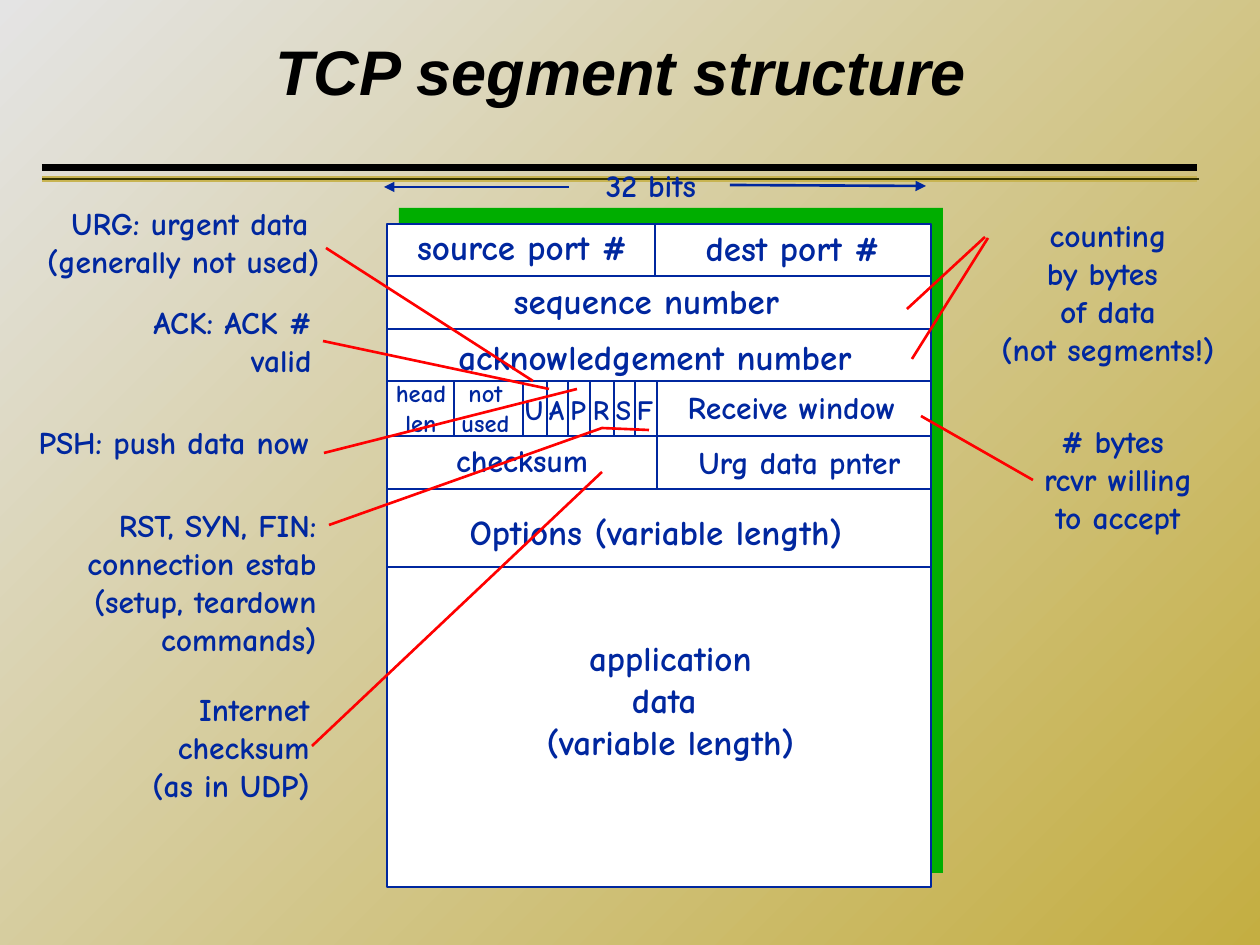
import pptx
import pptx.util
import pptx.dml.color
import pptx.enum.shapes
import pptx.enum.text
import pptx.oxml.ns
from lxml import etree

EMU_PER_PX = 914400 / 126
BLUE, RED, GREEN, WHITE = "00279F", "FF0000", "00AE00", "FFFFFF"
BLACK, GOLD, OLIVE = "000000", "C8B452", "333300"
ALIGN = pptx.enum.text.PP_ALIGN
ANCHOR = pptx.enum.text.MSO_ANCHOR
qn = pptx.oxml.ns.qn


def px(n):
    return pptx.util.Emu(round(n * EMU_PER_PX))


def rgb(color):
    return pptx.dml.color.RGBColor.from_string(color)


def set_line(sp, color, width):
    sp.line.color.rgb = rgb(color)
    sp.line.width = pptx.util.Pt(width)


def add_line(slide, x1, y1, x2, y2, color=BLUE, width=1.5, arrow=False):
    kind = pptx.enum.shapes.MSO_CONNECTOR.STRAIGHT
    sp = slide.shapes.add_connector(kind, px(x1), px(y1), px(x2), px(y2))
    set_line(sp, color, width)
    if arrow:
        etree.SubElement(sp.line._get_or_add_ln(), qn("a:tailEnd"), type="triangle")
    etree.SubElement(sp._element.spPr, qn("a:effectLst"))


def add_rect(slide, x, y, w, h, fill, line=None):
    kind = pptx.enum.shapes.MSO_SHAPE.RECTANGLE
    sp = slide.shapes.add_shape(kind, px(x), px(y), px(w), px(h))
    sp.shadow.inherit = False
    sp.fill.solid()
    sp.fill.fore_color.rgb = rgb(fill)
    if line:
        set_line(sp, line, 1.5)
    else:
        sp.line.fill.background()


def add_polyline(slide, points, color):
    start, *rest = points
    builder = slide.shapes.build_freeform(*start, scale=EMU_PER_PX)
    builder.add_line_segments(rest, close=False)
    sp = builder.convert_to_shape()
    sp.shadow.inherit = False
    sp.fill.background()
    set_line(sp, color, 1.5)


def add_text(slide, x, y, w, h, lines, size, align=ALIGN.CENTER):
    tf = slide.shapes.add_textbox(px(x), px(y), px(w), px(h)).text_frame
    tf.word_wrap = False
    tf.auto_size = pptx.enum.text.MSO_AUTO_SIZE.SHAPE_TO_FIT_TEXT
    for i, line in enumerate(lines):
        p = tf.add_paragraph() if i else tf.paragraphs[0]
        p.text = line
        p.alignment = align
        p.font.name = "Comic Neue"
        p.font.size = pptx.util.Pt(size)
        p.font.bold = True
        p.font.color.rgb = rgb(BLUE)


def add_background(slide):
    fill = slide.background.fill
    fill.gradient()
    fill.gradient_angle = 315
    for stop, color in zip(fill.gradient_stops, ("E4E4E4", "C4AE42")):
        stop.color.rgb = rgb(color)


def add_title(slide, text):
    tf = slide.shapes.add_textbox(px(73), px(26), px(1071), px(107)).text_frame
    tf.word_wrap = True
    tf.vertical_anchor = ANCHOR.MIDDLE
    tf.margin_left, tf.margin_top = px(25), 0
    tf.margin_right, tf.margin_bottom = 0, px(19)
    p = tf.paragraphs[0]
    p.text = text
    p.alignment = ALIGN.CENTER
    p.font.name = "Arial"
    p.font.size = pptx.util.Pt(36)
    p.font.bold = p.font.italic = True
    p.font.color.rgb = rgb(BLACK)


def add_header_rules(slide):
    for left in (102, 42):
        add_line(slide, left, 179, 1197, 179, GOLD, 3.5)
        add_line(slide, left, 168, 1197, 168, BLACK, 4)
        add_line(slide, left, 179, 1199, 179, OLIVE, 1)


def add_segment(slide):
    # Frame and its offset backing
    left, top, width, height = 387, 224, 544, 663
    add_rect(slide, 399, 208, width, 665, GREEN)
    add_rect(slide, left, top, width, height, WHITE, BLUE)

    # Width marker
    add_text(slide, 581, 160, 140, 50, ["32 bits"], 18)
    add_line(slide, 730, 185, 926, 186, arrow=True)
    add_line(slide, 569, 187, 384, 187, arrow=True)

    # Row and column dividers
    for y in (276, 329, 381, 436, 489, 567):
        add_line(slide, left, y, left + width, y)
    add_line(slide, 655, top, 655, 276)
    add_line(slide, 657, 381, 657, 489)
    flag_edges = (523, 547, 568, 590, 614, 635, 657)
    for x in (454, *flag_edges[:-1]):
        add_line(slide, x, 381, x, 436)

    # One-bit flags, each centred in its cell
    for flag, x1, x2 in zip("UAPRSF", flag_edges, flag_edges[1:]):
        add_text(slide, (x1 + x2) / 2 - 23, 386, 44, 47, [flag], 16)

    # Field names
    fields = [
        (404, 219, 236, 55, ["source port #"], 20),
        (693, 220, 199, 55, ["dest port #"], 20),
        (475, 273, 343, 55, ["sequence number"], 20),
        (420, 329, 470, 55, ["acknowledgement number"], 20),
        (383, 372, 76, 72, ["head", "len"], 14),
        (449, 372, 73, 72, ["not", "used"], 14),
        (675, 382, 233, 50, ["Receive window"], 18),
        (432, 435, 180, 50, ["checksum"], 18),
        (685, 437, 229, 50, ["Urg data pnter"], 18),
        (457, 504, 398, 55, ["Options (variable length)"], 20),
        (534, 630, 273, 139, ["application", "data ", "(variable length)"], 20),
    ]
    for field in fields:
        add_text(slide, *field)


def add_notes(slide):
    # Explanations on the left and right
    left_notes = [
        (33, 198, 299, 88, ["URG: urgent data ", "(generally not used)"]),
        (140, 297, 184, 88, ["ACK: ACK #", "valid"]),
        (26, 417, 296, 50, ["PSH: push data now"]),
        (74, 500, 255, 164, ["RST, SYN, FIN:", "connection estab",
                             "(setup, teardown", "commands)"]),
        (139, 684, 183, 126, ["Internet", "checksum", "(as in UDP)"]),
    ]
    right_notes = [
        (989, 210, 238, 164, ["counting", "by bytes ", "of data", "(not segments!)"]),
        (1031, 416, 174, 126, ["# bytes ", "rcvr willing", "to accept"]),
    ]
    for notes, align in ((left_notes, ALIGN.RIGHT), (right_notes, ALIGN.CENTER)):
        for note in notes:
            add_text(slide, *note, 18, align)

    # Pointers from explanations to fields
    pointers = [
        (326, 248, 533, 381), (323, 341, 549, 389), (324, 453, 577, 389),
        (312, 746, 602, 472), (1033, 480, 921, 416),
        (988, 238, 912, 359), (985, 237, 907, 309),
    ]
    for pointer in pointers:
        add_line(slide, *pointer, RED)
    add_polyline(slide, [(329, 525), (602, 428), (649, 430)], RED)


def main():
    prs = pptx.Presentation()
    prs.slide_width, prs.slide_height = px(1260), px(945)
    slide = prs.slides.add_slide(prs.slide_layouts[6])
    add_background(slide)
    add_header_rules(slide)
    add_title(slide, "TCP segment structure")
    add_segment(slide)
    add_notes(slide)
    prs.save("out.pptx")


if __name__ == "__main__":
    main()
